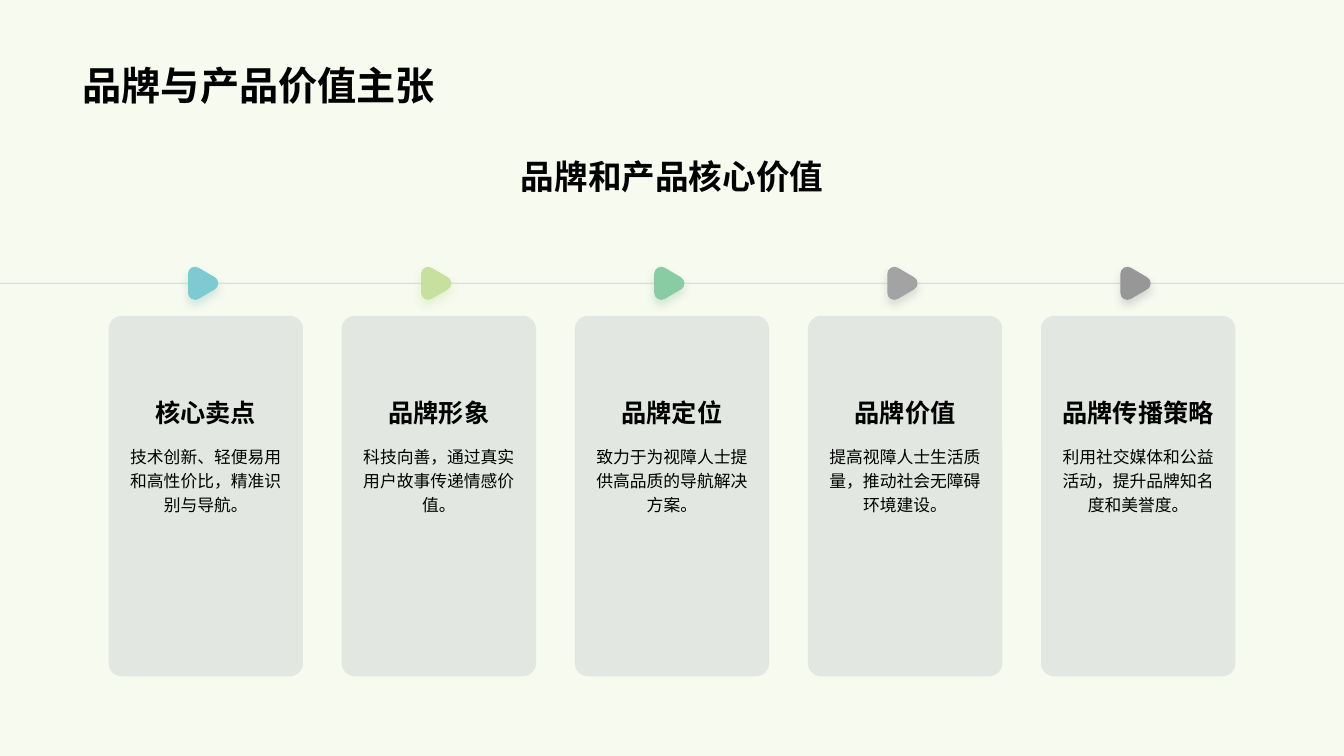
from lxml.etree import SubElement
from pptx import Presentation
from pptx.dml.color import RGBColor
from pptx.enum.shapes import MSO_CONNECTOR, MSO_SHAPE
from pptx.enum.text import MSO_ANCHOR, PP_ALIGN
from pptx.oxml.ns import qn
from pptx.util import Pt

TITLE = "品牌与产品价值主张"
SUBTITLE = "品牌和产品核心价值"
# heading, body, marker colour, marker shadow colour
CARDS = [
    ("核心卖点", "技术创新、轻便易用和高性价比，精准识别与导航。", "7DCAD3", "3698A4"),
    ("品牌形象", "科技向善，通过真实用户故事传递情感价值。", "C8E09F", "A4CB61"),
    ("品牌定位", "致力于为视障人士提供高品质的导航解决方案。", "89CBA2", "459D67"),
    ("品牌价值", "提高视障人士生活质量，推动社会无障碍环境建设。", "A3A3A3", "666666"),
    ("品牌传播策略", "利用社交媒体和公益活动，提升品牌知名度和美誉度。", "979797", "515151"),
]
THEME = {
    "font": "Arial", "text": "000000", "background": "F6FAEF",
    "card": "768394", "timeline": "808080",
    "title": 28, "subtitle": 24, "heading": 18, "body": 12,
}
SLIDE_WIDTH, SLIDE_HEIGHT = 960, 540
TIMELINE_Y = 202.4
CARD_LEFT, CARD_TOP, CARD_WIDTH, CARD_HEIGHT = 77.6, 225.6, 138.8, 257.5
CARD_PITCH = 166.5
TEXT_INSET, TEXT_WIDTH = 7.8, 123.2
MARKER_WIDTH, MARKER_HEIGHT, MARKER_CENTRE = 13.6, 11.6, 67.5


def colour(code):
    return RGBColor.from_string(code)


def set_opacity(parent, percent):
    for node in parent.iter(qn("a:srgbClr")):
        SubElement(node, qn("a:alpha"), val=str(percent * 1000))


def add_text(page, text, frame, size, bold=True, align=PP_ALIGN.CENTER,
             anchor=MSO_ANCHOR.BOTTOM, spacing=None):
    box = page.shapes.add_textbox(*map(Pt, frame))
    box.text_frame.word_wrap = True
    box.text_frame.vertical_anchor = anchor
    para = box.text_frame.paragraphs[0]
    para.alignment = align
    para.line_spacing = spacing
    span = para.add_run()
    span.text = text
    span.font.name = THEME["font"]
    span.font.size = Pt(THEME[size])
    span.font.bold = bold
    span.font.color.rgb = colour(THEME["text"])


def add_timeline(page):
    line = page.shapes.add_connector(
        MSO_CONNECTOR.STRAIGHT, Pt(0), Pt(TIMELINE_Y), Pt(SLIDE_WIDTH), Pt(TIMELINE_Y))
    line.line.width = Pt(1)
    line.line.color.rgb = colour(THEME["timeline"])
    properties = line._element.spPr
    set_opacity(properties, 20)
    SubElement(properties, qn("a:effectLst"))


def add_marker(page, centre_x, tint, shade):
    """Right-pointing triangle whose thick round outline softens its corners."""
    marker = page.shapes.add_shape(
        MSO_SHAPE.ISOSCELES_TRIANGLE,
        Pt(centre_x - MARKER_WIDTH / 2), Pt(TIMELINE_Y - MARKER_HEIGHT / 2),
        Pt(MARKER_WIDTH), Pt(MARKER_HEIGHT))
    marker.rotation = 90
    marker.fill.background()
    marker.line.color.rgb = colour(tint)
    marker.line.width = Pt(10)
    marker.shadow.inherit = False
    properties = marker._element.spPr
    SubElement(properties.find(qn("a:ln")), qn("a:round"))
    shadow = SubElement(
        properties.find(qn("a:effectLst")), qn("a:outerShdw"),
        blurRad=str(Pt(6)), dist=str(Pt(4)), dir="5400000", rotWithShape="0")
    SubElement(shadow, qn("a:srgbClr"), val=shade)
    set_opacity(shadow, 20)


def add_card(page, left, heading, body, tint, shade):
    card = page.shapes.add_shape(
        MSO_SHAPE.ROUNDED_RECTANGLE,
        *map(Pt, (left, CARD_TOP, CARD_WIDTH, CARD_HEIGHT)))
    card.adjustments[0] = 0.067
    card.fill.solid()
    card.fill.fore_color.rgb = colour(THEME["card"])
    card.line.fill.background()
    card.shadow.inherit = False
    set_opacity(card._element.spPr, 15)
    text_left = left + TEXT_INSET
    add_text(page, heading, (text_left, 250, TEXT_WIDTH, 59), "heading")
    add_text(page, body, (text_left, 312.5, TEXT_WIDTH, 159), "body",
             bold=False, anchor=MSO_ANCHOR.TOP, spacing=1.2)
    add_marker(page, left + MARKER_CENTRE, tint, shade)


def main():
    deck = Presentation()
    deck.slide_width, deck.slide_height = Pt(SLIDE_WIDTH), Pt(SLIDE_HEIGHT)
    page = deck.slides.add_slide(deck.slide_layouts[6])
    page.background.fill.solid()
    page.background.fill.fore_color.rgb = colour(THEME["background"])
    add_text(page, TITLE, (52, 10, 855, 70.8), "title", align=PP_ALIGN.LEFT)
    add_timeline(page)
    for index, card in enumerate(CARDS):
        add_card(page, CARD_LEFT + index * CARD_PITCH, *card)
    add_text(page, SUBTITLE, (53, 89.3, 854, 54.7), "subtitle")
    deck.save("out.pptx")


if __name__ == "__main__":
    main()
